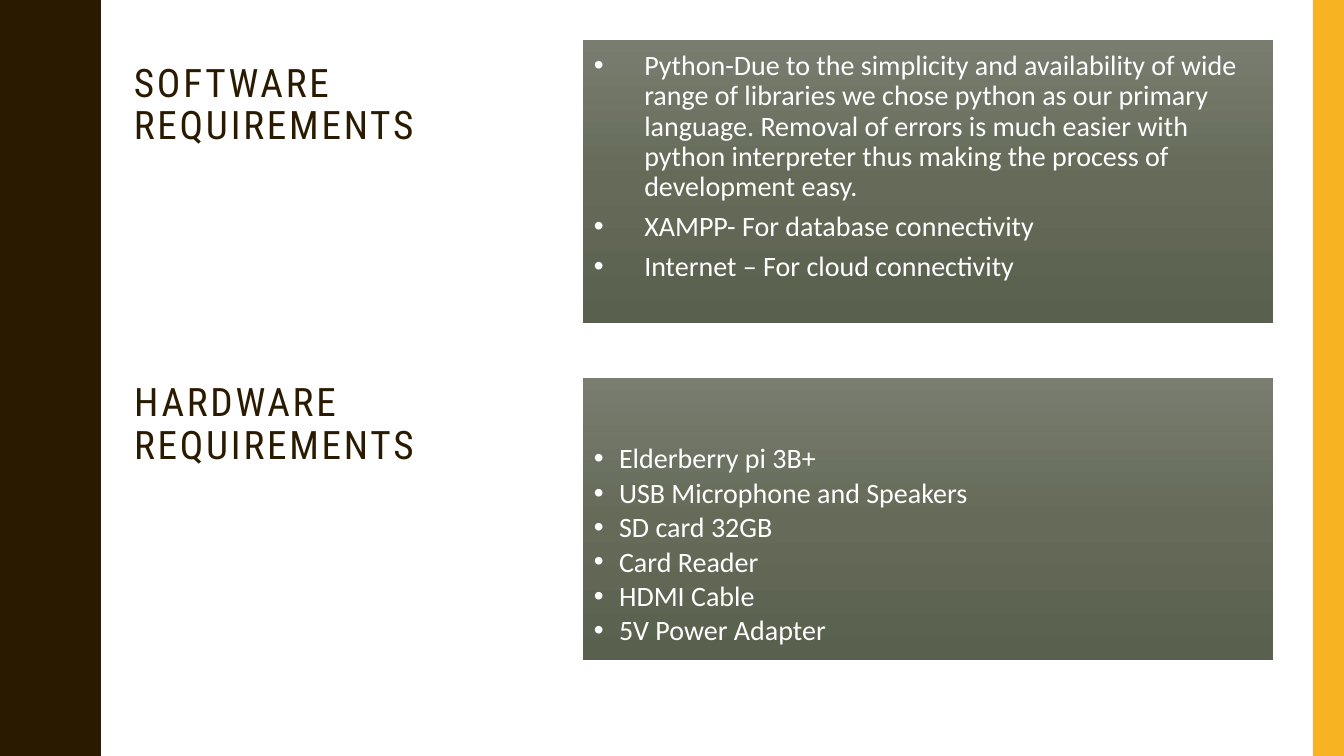
"""Build a slide listing the software and hardware requirements of a project."""
from copy import deepcopy
from math import cos, pi

from lxml.etree import SubElement
from pptx import Presentation
from pptx.dml.color import RGBColor
from pptx.enum.shapes import MSO_SHAPE
from pptx.enum.text import MSO_ANCHOR, MSO_AUTO_SIZE, PP_ALIGN
from pptx.oxml.ns import qn
from pptx.util import Inches, Pt

SECTIONS = [
    {
        "heading": "SOFTWARE\vREQUIREMENTS",
        "items": [
            "Python-Due to the simplicity and availability of wide range of "
            "libraries we chose python as our primary language. Removal of "
            "errors is much easier with python interpreter thus making the "
            "process of development easy.",
            "XAMPP- For database connectivity",
            "Internet – For cloud connectivity",
        ],
        "heading_top": 0.58, "panel_top": 0.4,
        "inset_top": 0.11, "indent": 0.5, "gap": 7,
    },
    {
        "heading": "HARDWARE\vREQUIREMENTS",
        "items": [
            "Elderberry pi 3B+",
            "USB Microphone and Speakers",
            "SD card 32GB",
            "Card Reader",
            "HDMI Cable",
            "5V Power Adapter",
        ],
        "heading_top": 3.75, "panel_top": 3.75,
        "inset_top": 0.66, "indent": 0.25, "gap": 3,
    },
]
COLORS = {"brown": "2A1A00", "gold": "F8B323", "white": "FFFFFF",
          "light": "797D70", "middle": "656B58", "dark": "5A604E"}
COLORS = {name: RGBColor.from_string(value) for name, value in COLORS.items()}
HEADING_FONT = {"name": "Roboto Condensed", "size": Pt(28), "bold": False}
ITEM_FONT = {"name": "Calibri", "size": Pt(20), "bold": False}
WIDTH, HEIGHT = 13.33, 7.5
GOLD_WIDTH = 0.31
HEADING_LEFT, HEADING_SIZE = 1.23, (3.06, 1.21)
PANEL_LEFT, PANEL_SIZE = 5.78, (6.85, 2.8)
INSET = 0.11
WAVE_MIDDLE, WAVE_DEPTH, WAVE_COUNT, WAVE_STEPS = 0.875, 0.095, 5, 120


def apply(target, values):
    for name, value in values.items():
        setattr(target, name, value)


def place(shape, left, top, size):
    apply(shape, {"left": Inches(left), "top": Inches(top),
                  "width": Inches(size[0]), "height": Inches(size[1])})


def paint(shape, color):
    shape.shadow.inherit = False
    shape.fill.solid()
    shape.fill.fore_color.rgb = COLORS[color]
    shape.line.fill.background()


def style_runs(paragraph, font, color):
    for run in paragraph.runs:
        apply(run.font, font)
        run.font.color.rgb = COLORS[color]


def add_wave(slide):
    edge = []
    for step in range(WAVE_STEPS + 1):
        share = step / WAVE_STEPS
        x = WAVE_MIDDLE - WAVE_DEPTH * cos(2 * pi * WAVE_COUNT * share)
        edge.append((x, HEIGHT * share))
    builder = slide.shapes.build_freeform(0, 0, scale=Inches(1))
    builder.add_line_segments(edge + [(0, HEIGHT)], close=True)
    paint(builder.convert_to_shape(), "brown")


def fill_heading(shape, section):
    place(shape, HEADING_LEFT, section["heading_top"], HEADING_SIZE)
    frame = shape.text_frame
    apply(frame, {"text": section["heading"], "word_wrap": True,
                  "auto_size": MSO_AUTO_SIZE.NONE,
                  "vertical_anchor": MSO_ANCHOR.TOP})
    paragraph = frame.paragraphs[0]
    apply(paragraph, {"alignment": PP_ALIGN.LEFT, "line_spacing": 0.9})
    style_runs(paragraph, HEADING_FONT, "brown")
    for run in paragraph.runs:
        run.font._element.set("spc", "200")


def shade(shape):
    shape.fill.gradient()
    stop_list = shape._element.spPr.find(".//" + qn("a:gsLst"))
    stop_list.insert(1, deepcopy(stop_list[0]))
    names = ("light", "middle", "dark")
    for index, (stop, name) in enumerate(zip(shape.fill.gradient_stops, names)):
        stop.position = index / 2
        stop.color.rgb = COLORS[name]
    shape.fill.gradient_angle = 270
    shape.line.fill.background()


def add_bullet(paragraph, indent):
    properties = paragraph._p.get_or_add_pPr()
    properties.set("marL", str(Inches(indent)))
    properties.set("indent", str(-Inches(indent)))
    SubElement(properties, qn("a:buFont"), typeface="Arial")
    SubElement(properties, qn("a:buChar"), char="•")


def fill_panel(shape, section):
    place(shape, PANEL_LEFT, section["panel_top"], PANEL_SIZE)
    shade(shape)
    frame = shape.text_frame
    apply(frame, {"text": "\n".join(section["items"]), "word_wrap": True,
                  "auto_size": MSO_AUTO_SIZE.NONE,
                  "vertical_anchor": MSO_ANCHOR.TOP,
                  "margin_left": Inches(INSET), "margin_right": Inches(INSET),
                  "margin_top": Inches(section["inset_top"]),
                  "margin_bottom": Inches(INSET)})
    for paragraph in frame.paragraphs:
        add_bullet(paragraph, section["indent"])
        apply(paragraph, {"alignment": PP_ALIGN.LEFT, "line_spacing": 0.9,
                          "space_before": Pt(0),
                          "space_after": Pt(section["gap"])})
        style_runs(paragraph, ITEM_FONT, "white")


def main():
    presentation = Presentation()
    apply(presentation, {"slide_width": Inches(WIDTH),
                         "slide_height": Inches(HEIGHT)})
    slide = presentation.slides.add_slide(presentation.slide_layouts[3])
    title, *panels = list(slide.placeholders)[:3]
    add_wave(slide)
    bar = slide.shapes.add_shape(
        MSO_SHAPE.RECTANGLE, Inches(WIDTH - GOLD_WIDTH), 0,
        Inches(GOLD_WIDTH), Inches(HEIGHT))
    paint(bar, "gold")
    text_box = slide.shapes.add_textbox(0, 0, 0, 0)
    for section, heading, panel in zip(SECTIONS, (text_box, title), panels):
        fill_heading(heading, section)
        fill_panel(panel, section)
    presentation.save("out.pptx")


if __name__ == "__main__":
    main()
